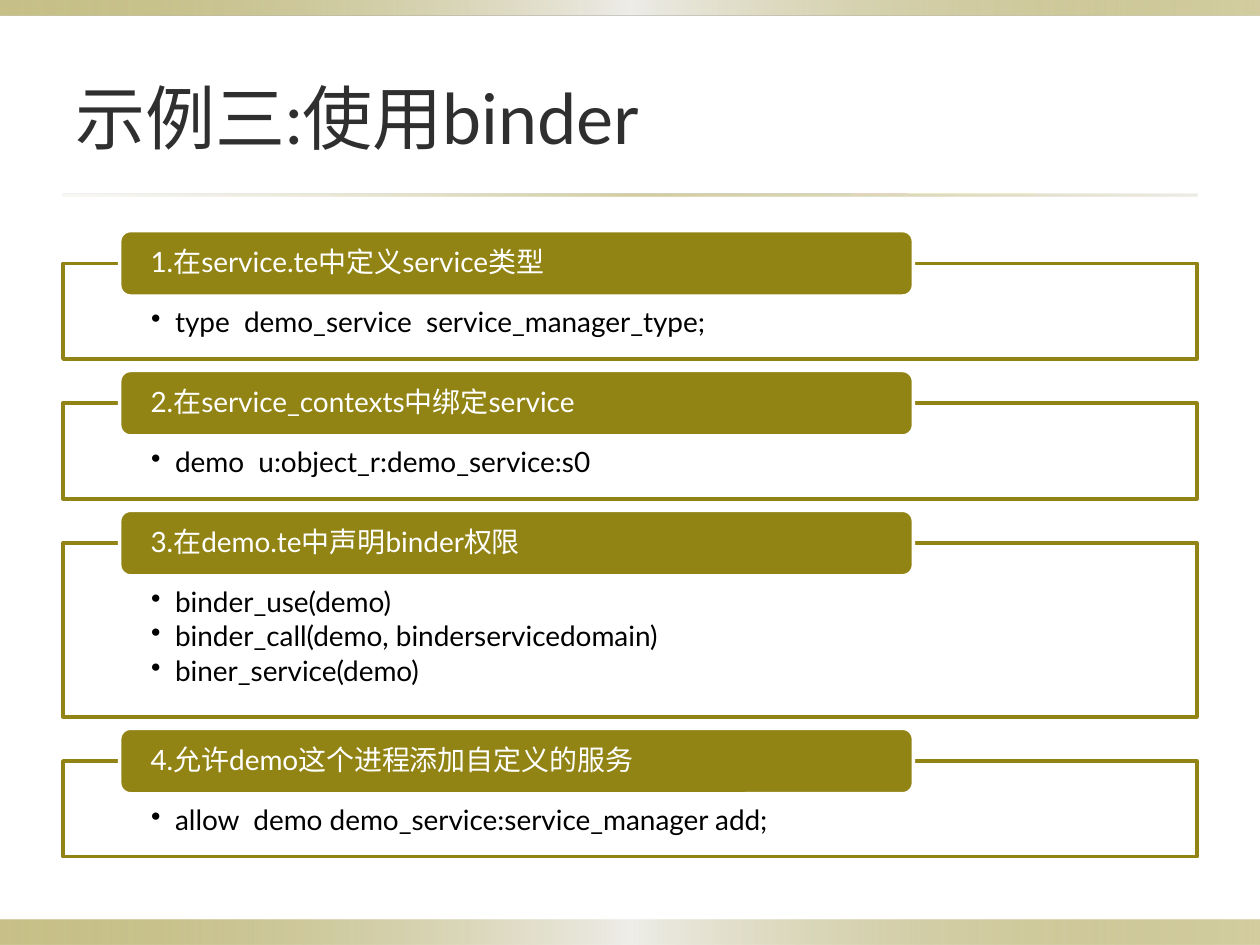
from dataclasses import dataclass

from lxml import etree
from pptx import Presentation
from pptx.dml.color import RGBColor
from pptx.enum.shapes import MSO_SHAPE
from pptx.enum.text import MSO_ANCHOR, PP_ALIGN
from pptx.oxml.ns import qn
from pptx.util import Inches, Pt

RECTANGLE = MSO_SHAPE.RECTANGLE
ROUNDED = MSO_SHAPE.ROUNDED_RECTANGLE
TOP, MIDDLE = MSO_ANCHOR.TOP, MSO_ANCHOR.MIDDLE
LEFT = PP_ALIGN.LEFT

FONT = "Lato"
OLIVE = RGBColor(0x91, 0x84, 0x15)
PALE = RGBColor(0xEE, 0xED, 0xE8)
SAND = RGBColor(0xDC, 0xD9, 0xCC)
CHARCOAL = RGBColor(0x2F, 0x2F, 0x2F)
WHITE = RGBColor(0xFF, 0xFF, 0xFF)
BLACK = RGBColor(0x00, 0x00, 0x00)

MARGIN, CONTENT_WIDTH = 0.5, 9
FIRST_STEP_TOP, STEP_GAP = 1.83, 0.09
HEADER_HEIGHT = 0.52
BULLET_INDENT = 0.19


@dataclass
class GradientStop:
    position: int
    color: RGBColor
    opacity: int = 100


@dataclass
class Band:
    left: float
    top: float
    width: float
    height: float
    stops: list[GradientStop]


@dataclass
class Step:
    heading: str
    commands: list[str]
    body_height: float = 0.76


BAR_STOPS = [GradientStop(0, OLIVE, 50), GradientStop(50, PALE), GradientStop(100, OLIVE, 40)]
RULE_STOPS = [GradientStop(0, SAND, 20), GradientStop(50, OLIVE, 40), GradientStop(100, SAND, 50)]

BANDS = [
    Band(0, 7.3, 10, 0.2, BAR_STOPS),
    Band(0, 0, 10, 0.12, BAR_STOPS),
    Band(MARGIN, 1.54, CONTENT_WIDTH, 0.02, RULE_STOPS),
]

STEPS = [
    Step("1.在service.te中定义service类型", ["type  demo_service  service_manager_type;"]),
    Step("2.在service_contexts中绑定service", ["demo  u:object_r:demo_service:s0"]),
    Step(
        "3.在demo.te中声明binder权限",
        ["binder_use(demo)", "binder_call(demo, binderservicedomain)", "biner_service(demo)"],
        1.38,
    ),
    Step("4.允许demo这个进程添加自定义的服务", ["allow  demo demo_service:service_manager add;"]),
]


def add_box(slide, kind, left: float, top: float, width: float, height: float):
    shape = slide.shapes.add_shape(kind, Inches(left), Inches(top), Inches(width), Inches(height))
    shape.shadow.inherit = False
    return shape


def set_colors(shape, fill: RGBColor, line: RGBColor) -> None:
    shape.fill.solid()
    shape.fill.fore_color.rgb = fill
    shape.line.color.rgb = line
    shape.line.width = Pt(2)


def set_frame(shape, anchor, side: float, top: float, bottom: float):
    frame = shape.text_frame
    frame.word_wrap = True
    frame.vertical_anchor = anchor
    frame.margin_left = frame.margin_right = Inches(side)
    frame.margin_top, frame.margin_bottom = Inches(top), Inches(bottom)
    return frame


def style_paragraph(paragraph, size: int, color: RGBColor) -> None:
    paragraph.alignment = LEFT
    paragraph.font.name = FONT
    paragraph.font.size = Pt(size)
    paragraph.font.color.rgb = color


def add_bullet(paragraph) -> None:
    properties = paragraph._p.get_or_add_pPr()
    properties.set("marL", str(Inches(BULLET_INDENT)))
    properties.set("indent", str(-Inches(BULLET_INDENT)))
    bullet = etree.Element(qn("a:buChar"), char="•")
    properties.find(qn("a:defRPr")).addprevious(bullet)


def draw_band(slide, band: Band) -> None:
    shape = add_box(slide, RECTANGLE, band.left, band.top, band.width, band.height)
    shape.line.fill.background()
    shape.fill.gradient()
    shape.fill.gradient_angle = 0
    # Replace the preset stops with translucent ones
    stop_list = shape._element.spPr.find(qn("a:gradFill")).find(qn("a:gsLst"))
    for preset in list(stop_list):
        stop_list.remove(preset)
    for stop in band.stops:
        entry = etree.SubElement(stop_list, qn("a:gs"), pos=str(stop.position * 1000))
        color = etree.SubElement(entry, qn("a:srgbClr"), val=str(stop.color))
        etree.SubElement(color, qn("a:alpha"), val=str(stop.opacity * 1000))


def draw_title(slide, text: str) -> None:
    title = slide.shapes.add_textbox(Inches(MARGIN), Inches(0.3), Inches(CONTENT_WIDTH), Inches(1.25))
    frame = set_frame(title, MIDDLE, 0.1, 0.05, 0.05)
    frame.text = text
    style_paragraph(frame.paragraphs[0], 40, CHARCOAL)


def draw_step(slide, step: Step, top: float) -> float:
    """Draw one step and return the bottom of its body."""
    # Outlined body with the commands
    body_top = top + HEADER_HEIGHT / 2
    body = add_box(slide, RECTANGLE, MARGIN, body_top, CONTENT_WIDTH, step.body_height)
    set_colors(body, WHITE, OLIVE)
    frame = set_frame(body, TOP, 0.7, 0.36, 0.12)
    frame.text = "\n".join(step.commands)
    for paragraph in frame.paragraphs:
        style_paragraph(paragraph, 16, BLACK)
        paragraph.line_spacing = 0.9
        paragraph.space_after = Pt(2.4)
        add_bullet(paragraph)

    # Heading over the top edge of the body
    header = add_box(slide, ROUNDED, 0.95, top, 6.3, HEADER_HEIGHT)
    set_colors(header, OLIVE, WHITE)
    frame = set_frame(header, MIDDLE, 0.22, 0, 0)
    frame.text = step.heading
    paragraph = frame.paragraphs[0]
    style_paragraph(paragraph, 16, WHITE)
    paragraph.line_spacing = 0.9
    paragraph.space_after = Pt(5.6)
    return body_top + step.body_height


def main() -> None:
    presentation = Presentation()
    presentation.slide_width, presentation.slide_height = Inches(10), Inches(7.5)
    slide = presentation.slides.add_slide(presentation.slide_layouts[6])

    for band in BANDS:
        draw_band(slide, band)
    draw_title(slide, "示例三:使用binder")

    top = FIRST_STEP_TOP
    for step in STEPS:
        top = draw_step(slide, step, top) + STEP_GAP

    presentation.save("out.pptx")


if __name__ == "__main__":
    main()
